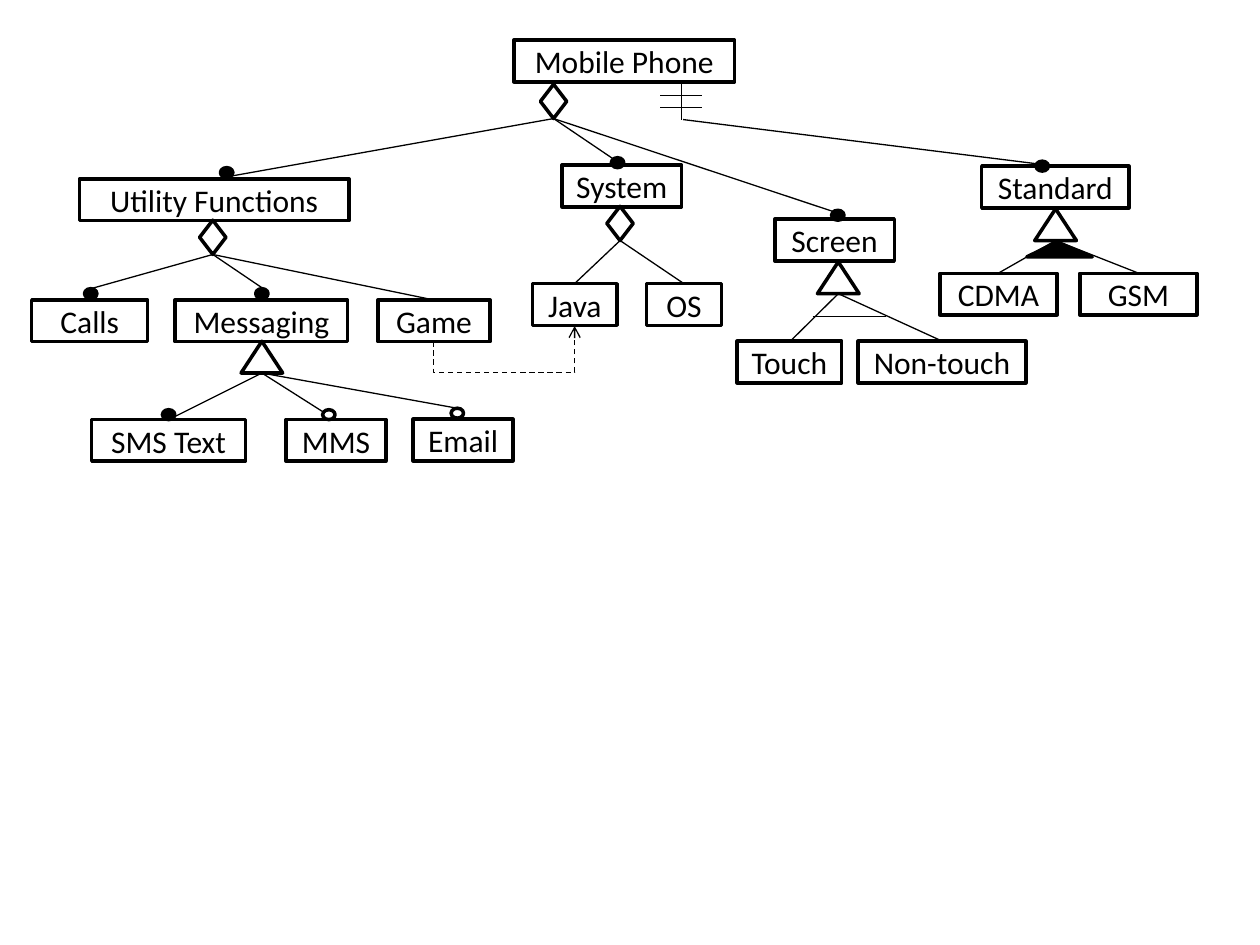
"""Build a feature-model tree of a mobile phone."""
from typing import NamedTuple

from lxml.etree import SubElement
from pptx import Presentation
from pptx.dml.color import RGBColor
from pptx.enum.dml import MSO_LINE
from pptx.enum.shapes import MSO_CONNECTOR as CONN, MSO_SHAPE as SHAPE
from pptx.enum.text import MSO_ANCHOR, PP_ALIGN
from pptx.oxml.ns import qn
from pptx.util import Cm, Pt

COLORS = {"ink": "000000", "paper": "FFFFFF"}
BOX_HEIGHT = 0.84
DOT_SIZE = (0.25, 0.2)
SYMBOL_SIZES = {SHAPE.FLOWCHART_DECISION: (0.53, 0.69),
                SHAPE.ISOSCELES_TRIANGLE: (0.84, 0.64)}
DIAMOND, TRIANGLE = SYMBOL_SIZES


class Feature(NamedTuple):
    text: str
    left: float
    top: float
    width: float


class Branch(NamedTuple):
    symbol: SHAPE
    x: float
    y: float
    ends: list


class Dot(NamedTuple):
    x: float
    y: float
    fill: str = "ink"


class Line(NamedTuple):
    x1: float
    y1: float
    x2: float
    y2: float


FEATURES = [
    Feature("Mobile Phone", 10.36, 0.81, 4.45),
    Feature("Utility Functions", 1.6, 3.61, 5.44),
    Feature("System", 11.33, 3.33, 2.41),
    Feature("Screen", 15.62, 4.42, 2.41),
    Feature("Standard", 19.79, 3.35, 2.97),
    Feature("Calls", 0.64, 6.05, 2.34),
    Feature("Messaging", 3.53, 6.05, 3.48),
    Feature("Game", 7.62, 6.05, 2.26),
    Feature("Java", 10.74, 5.72, 1.7),
    Feature("OS", 13.03, 5.72, 1.52),
    Feature("Touch", 14.86, 6.88, 2.11),
    Feature("Non-touch", 17.3, 6.88, 3.38),
    Feature("CDMA", 18.95, 5.51, 2.36),
    Feature("GSM", 21.77, 5.51, 2.36),
    Feature("SMS Text", 1.85, 8.46, 3.1),
    Feature("MMS", 5.77, 8.46, 2.01),
    Feature("Email", 8.33, 8.45, 2.01),
]
BRANCHES = [
    Branch(DIAMOND, 11.16, 2.39, [(4.32, 3.61), (12.55, 3.33), (16.81, 4.27)]),
    Branch(DIAMOND, 4.29, 5.13, [(1.83, 5.82), (5.31, 5.82), (8.76, 6.05)]),
    Branch(DIAMOND, 12.5, 4.85, [(11.58, 5.72), (13.79, 5.72)]),
    Branch(TRIANGLE, 5.28, 7.52, [(3.4, 8.46), (6.76, 8.46), (9.22, 8.23)]),
    Branch(TRIANGLE, 16.9, 5.92, [(15.93, 6.88), (19, 6.88)]),
    Branch(TRIANGLE, 21.28, 4.85, [(20.12, 5.51), (22.96, 5.51)]),
]
DOTS = [
    Dot(4.57, 3.48), Dot(12.45, 3.28), Dot(16.89, 4.34), Dot(21.01, 3.35),
    Dot(1.83, 5.92), Dot(5.28, 5.92), Dot(3.4, 8.36),
    Dot(6.63, 8.36, "paper"), Dot(9.22, 8.33, "paper"),
]
LINES = [
    Line(13.74, 1.7, 13.74, 2.41),
    Line(13.31, 1.93, 14.15, 1.93),
    Line(13.31, 2.16, 14.15, 2.16),
    Line(13.77, 2.41, 21.29, 3.35),
    Line(16.38, 6.38, 17.86, 6.38),
]


def color(name: str) -> RGBColor:
    return RGBColor.from_string(COLORS[name])


def add_outlined(s, kind, left: float, top: float, width: float, height: float,
                 fill: str = "paper"):
    sp = s.shapes.add_shape(kind, Cm(left), Cm(top), Cm(width), Cm(height))
    sp.shadow.inherit = False
    sp.fill.solid()
    sp.fill.fore_color.rgb = color(fill)
    sp.line.color.rgb = color("ink")
    sp.line.width = Pt(2)
    return sp


def add_feature(s, f: Feature) -> None:
    sp = add_outlined(s, SHAPE.RECTANGLE, f.left, f.top, f.width, BOX_HEIGHT)
    tf = sp.text_frame
    tf.word_wrap = False
    tf.vertical_anchor = MSO_ANCHOR.MIDDLE
    p = tf.paragraphs[0]
    p.text = f.text
    p.alignment = PP_ALIGN.CENTER
    p.font.name = "Calibri"
    p.font.size = Pt(18)
    p.font.color.rgb = color("ink")


def add_line(s, line: Line, kind=CONN.STRAIGHT):
    cxn = s.shapes.add_connector(kind, *map(Cm, line))
    cxn.line.color.rgb = color("ink")
    cxn.line.width = Pt(0.75)
    SubElement(cxn._element.spPr, qn("a:effectLst"))
    return cxn


def add_dependency(s) -> None:
    cxn = add_line(s, Line(10.32, 8.15, 10.01, 5.31), CONN.ELBOW)
    cxn.line.dash_style = MSO_LINE.DASH
    spPr = cxn._element.spPr
    spPr.find(qn("a:xfrm")).set("rot", "5400000")
    guides = spPr.find(qn("a:prstGeom")).find(qn("a:avLst"))
    SubElement(guides, qn("a:gd"), name="adj1", fmla="val -200000")
    SubElement(spPr.find(qn("a:ln")), qn("a:tailEnd"), type="arrow")


def main() -> None:
    prs = Presentation()
    prs.slide_width, prs.slide_height = Cm(25.4), Cm(19.05)
    s = prs.slides.add_slide(prs.slide_layouts[6])
    for feature in FEATURES:
        add_feature(s, feature)
    for branch in BRANCHES:
        for end in branch.ends:
            add_line(s, Line(branch.x, branch.y, *end))
        width, height = SYMBOL_SIZES[branch.symbol]
        add_outlined(s, branch.symbol, branch.x - width / 2,
                     branch.y - height, width, height)
    for line in LINES:
        add_line(s, line)
    or_mark = add_outlined(s, TRIANGLE, 20.7, 4.88, 1.32, 0.3, "ink")
    or_mark.adjustments[0] = 0.46
    width, height = DOT_SIZE
    for dot in DOTS:
        add_outlined(s, SHAPE.OVAL, dot.x - width / 2, dot.y - height / 2,
                     width, height, dot.fill)
    add_dependency(s)
    prs.save("out.pptx")


main()
